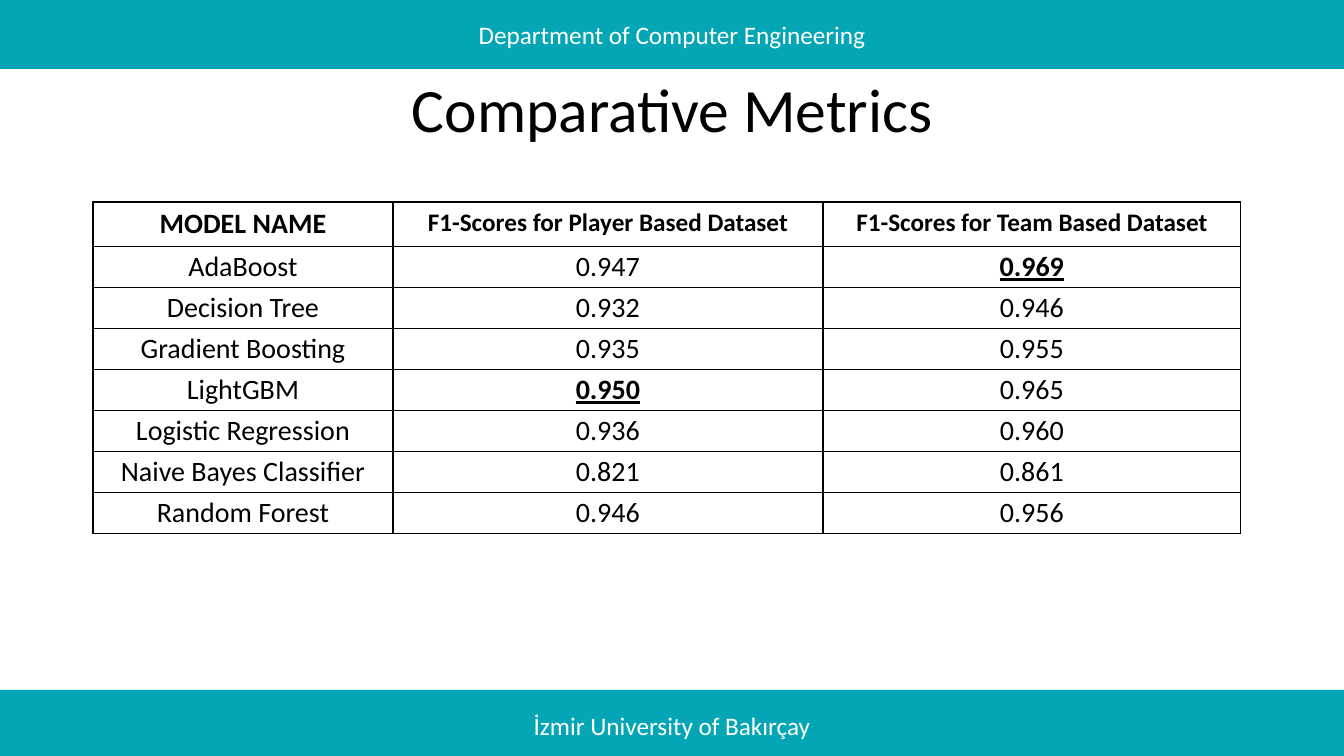
import dataclasses

import lxml.etree
import pptx
import pptx.dml.color
import pptx.enum.shapes
import pptx.enum.text
import pptx.oxml.ns
import pptx.util


@dataclasses.dataclass(frozen=True)
class Theme:
    font: str = "Calibri"
    ink: str = "000000"
    paper: str = "FFFFFF"
    teal: str = "04A6B5"
    title_size: int = 44
    body_size: int = 20
    small_size: int = 18
    border: float = 1


theme = Theme()
ALIGN = pptx.enum.text.PP_ALIGN
ANCHOR = pptx.enum.text.MSO_ANCHOR
EMU_PER_PX = 914400 / 100.8


def px(length):
    return pptx.util.Emu(round(length * EMU_PER_PX))


def write(frame, text, size, color, strong=False, underline=False):
    para = frame.paragraphs[0]
    para.alignment = ALIGN.CENTER
    span = para.add_run()
    span.text = text
    span.font.name = theme.font
    span.font.size = pptx.util.Pt(size)
    span.font.bold = strong
    span.font.underline = underline
    span.font.color.rgb = pptx.dml.color.RGBColor.from_string(color)
    return para


deck = pptx.Presentation()
deck.slide_width, deck.slide_height = px(1344), px(756)
page = deck.slides.add_slide(deck.slide_layouts.get_by_name("Title Only"))
page.background.fill.solid()
page.background.fill.fore_color.rgb = pptx.dml.color.RGBColor.from_string(theme.paper)

# Title
title = page.shapes.title
title.left, title.top, title.width, title.height = px(93), px(40), px(1159), px(146)
title.text_frame.vertical_anchor = ANCHOR.MIDDLE
write(title.text_frame, "Comparative Metrics", theme.title_size, theme.ink).line_spacing = 0.9

# Score table
headings = [
    ("MODEL NAME", theme.body_size),
    ("F1-Scores for Player Based Dataset", theme.small_size),
    ("F1-Scores for Team Based Dataset", theme.small_size),
]
scores = [
    ("AdaBoost", "0.947", "0.969"),
    ("Decision Tree", "0.932", "0.946"),
    ("Gradient Boosting", "0.935", "0.955"),
    ("LightGBM", "0.950", "0.965"),
    ("Logistic Regression", "0.936", "0.960"),
    ("Naive Bayes Classifier", "0.821", "0.861"),
    ("Random Forest", "0.946", "0.956"),
]
column_widths = [300, 430, 418]
row_height = 41
row_count = len(scores) + 1
table = page.shapes.add_table(
    row_count, len(headings), px(93), px(202),
    px(sum(column_widths)), px(row_height * row_count),
).table
table.first_row = False
table.horz_banding = False
for column, width in zip(table.columns, column_widths):
    column.width = px(width)
for row in table.rows:
    row.height = px(row_height)

# Header row
for column_index, (heading, size) in enumerate(headings):
    write(table.cell(0, column_index).text_frame, heading, size, theme.ink, strong=True)

# Model rows, with the best score of each dataset emphasised
best_scores = [max(column[1:]) if column_index == 0 else max(column)
               for column_index, column in enumerate(zip(*scores))]
for row_index, record in enumerate(scores, start=1):
    for column_index, value in enumerate(record):
        cell = table.cell(row_index, column_index)
        cell.vertical_anchor = ANCHOR.MIDDLE
        cell.margin_left = cell.margin_right = cell.margin_top = cell.margin_bottom = 0
        best = column_index > 0 and value == best_scores[column_index]
        write(cell.text_frame, value, theme.body_size, theme.ink, best, best)

# Cell fills and borders
for cell in table.iter_cells():
    cell.fill.background()
    properties = cell._tc.get_or_add_tcPr()
    for position, side in enumerate(("lnL", "lnR", "lnT", "lnB")):
        line = lxml.etree.Element(pptx.oxml.ns.qn(f"a:{side}"))
        line.set("w", str(pptx.util.Pt(theme.border)))
        fill = lxml.etree.SubElement(line, pptx.oxml.ns.qn("a:solidFill"))
        lxml.etree.SubElement(fill, pptx.oxml.ns.qn("a:srgbClr")).set("val", theme.ink)
        properties.insert(position, line)

# Bottom and top bands
for top, label in (
    (690, "İzmir University of Bakırçay"),
    (-1, "Department of Computer Engineering"),
):
    band = page.shapes.add_shape(
        pptx.enum.shapes.MSO_SHAPE.RECTANGLE, px(-1), px(top), px(1346), px(70)
    )
    band.shadow.inherit = False
    band.fill.solid()
    band.fill.fore_color.rgb = pptx.dml.color.RGBColor.from_string(theme.teal)
    band.line.fill.background()
    band.text_frame.vertical_anchor = ANCHOR.MIDDLE
    write(band.text_frame, label, theme.small_size, theme.paper)

deck.save("out.pptx")
